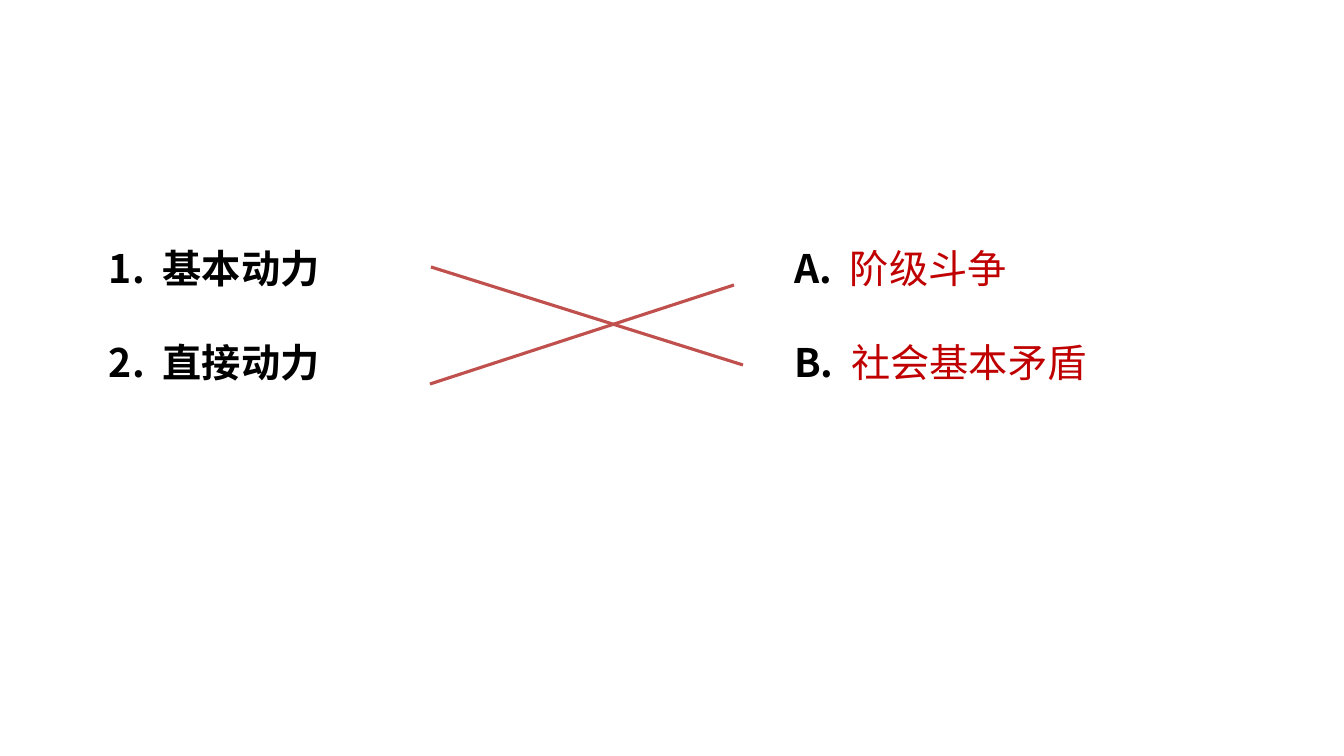
from lxml import etree
from pptx import Presentation
from pptx import util as u
from pptx.dml.color import RGBColor
from pptx.enum import shapes, text
from pptx.oxml.ns import qn

PX = 914400 / 100.8
THEME = {
    "font": "Noto Sans CJK SC",
    "size": u.Pt(28),
    "label": RGBColor(0, 0, 0),
    "answer": RGBColor(0xC0, 0, 0),
    "match": RGBColor(0xC0, 0x50, 0x4D),
    "match_width": u.Pt(2.25),
    "label_gap": "330",
}


def px(length):
    return u.Emu(round(length * PX))


deck = Presentation()
deck.slide_width, deck.slide_height = px(1344), px(756)
slide = deck.slides.add_slide(deck.slide_layouts[6])

columns = [
    (109, 285, "label", True, [("1", "基本动力"), ("2", "直接动力")]),
    (794, 323, "answer", False, [("A", "阶级斗争"), ("B", "社会基本矛盾")]),
]
for left, width, term_color, term_bold, entries in columns:
    for row, (label, term) in enumerate(entries):
        box = slide.shapes.add_textbox(px(left), px(244 + 94 * row), px(width), px(47))
        frame = box.text_frame
        frame_format = {
            "margin_left": 0, "margin_top": 0, "margin_right": 0, "margin_bottom": 0,
            "word_wrap": True, "vertical_anchor": text.MSO_ANCHOR.MIDDLE,
        }
        for key, value in frame_format.items():
            setattr(frame, key, value)
        parts = [
            (label, "label", True, "0"),
            (". ", "label", True, THEME["label_gap"]),
            (term, term_color, term_bold, "0"),
        ]
        for words, color, bold, spacing in parts:
            run = frame.paragraphs[0].add_run()
            run.text = words
            for key, value in {"name": THEME["font"], "size": THEME["size"], "bold": bold}.items():
                setattr(run.font, key, value)
            run.font.color.rgb = THEME[color]
            properties = run.font._element
            properties.set("spc", spacing)
            etree.SubElement(properties, qn("a:ea"), typeface=THEME["font"])

for ends in [(431, 267, 743, 365), (430, 384, 734, 285)]:
    match = slide.shapes.add_connector(shapes.MSO_CONNECTOR.STRAIGHT, *map(px, ends))
    match.line.color.rgb = THEME["match"]
    match.line.width = THEME["match_width"]
    etree.SubElement(match._element.spPr, qn("a:effectLst"))

deck.save("out.pptx")
